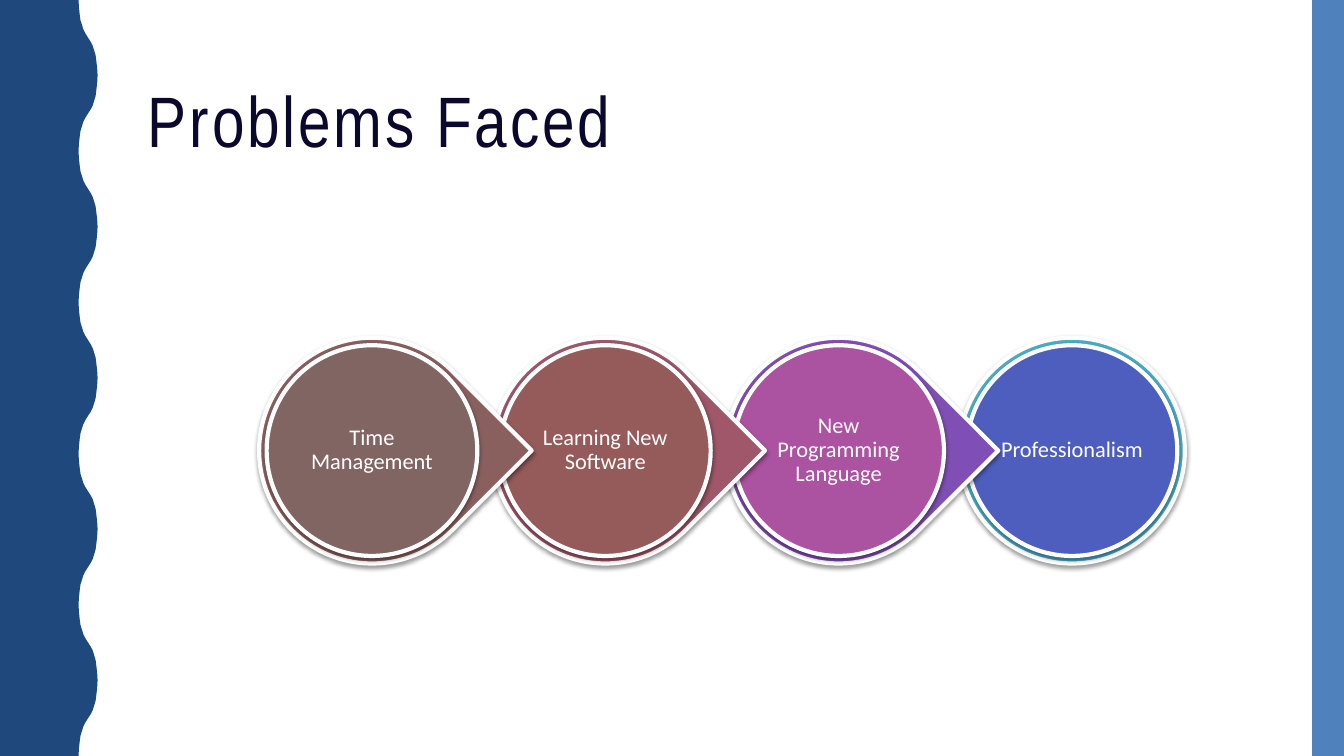
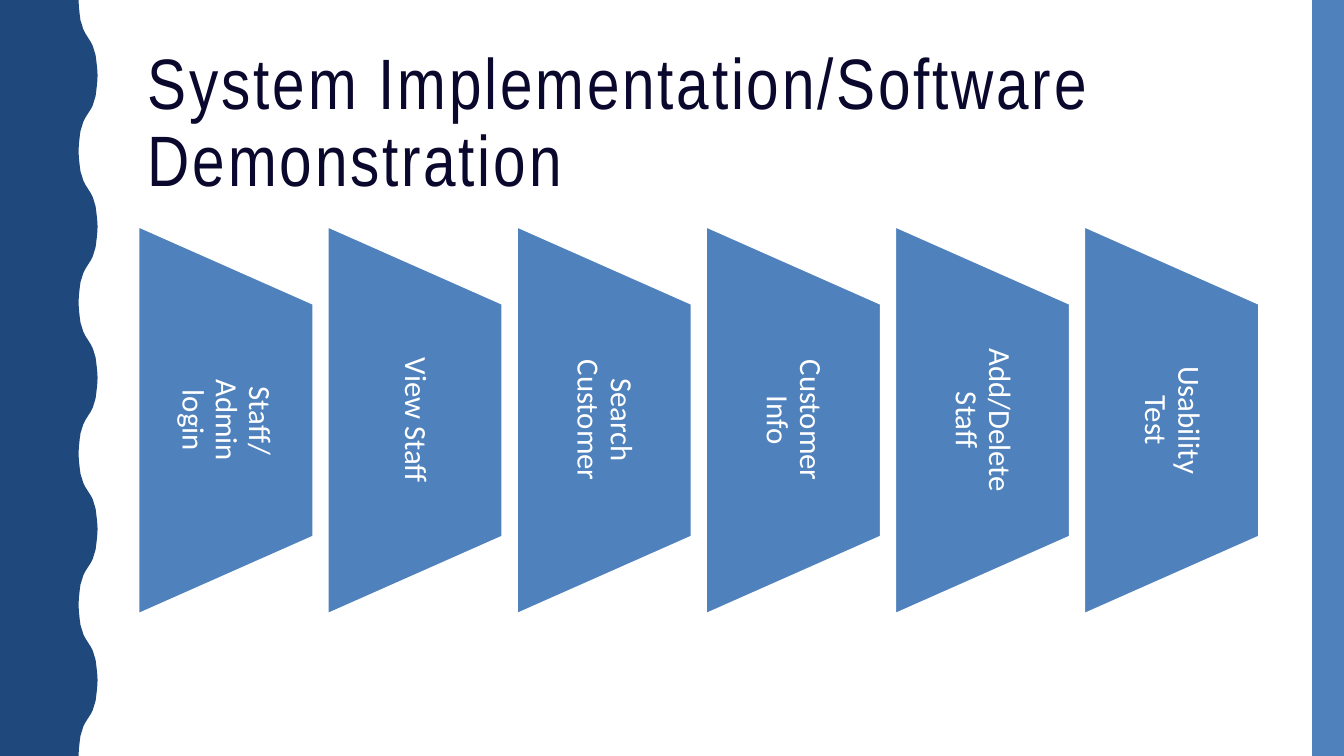
import pptx
import pptx.util
import pptx.dml.color
import pptx.enum.shapes
import pptx.enum.text
import pptx.oxml
import pptx.oxml.ns

Cm, Pt = pptx.util.Cm, pptx.util.Pt
RGBColor = pptx.dml.color.RGBColor
MSO_SHAPE = pptx.enum.shapes.MSO_SHAPE
PP_ALIGN = pptx.enum.text.PP_ALIGN
MSO_ANCHOR = pptx.enum.text.MSO_ANCHOR

WHITE = RGBColor(0xFF, 0xFF, 0xFF)
NAVY = RGBColor(0x1F, 0x49, 0x7D)
BLUE = RGBColor(0x4F, 0x81, 0xBD)
INK = RGBColor(0x0B, 0x08, 0x2E)
BROWN = RGBColor(0x80, 0x65, 0x63)
BROWN_RING = RGBColor(0x8A, 0x60, 0x5F)
BRICK = RGBColor(0x95, 0x5B, 0x5A)
ROSE_RING = RGBColor(0xA0, 0x57, 0x69)
MAGENTA = RGBColor(0xAB, 0x52, 0xA1)
PURPLE_RING = RGBColor(0x80, 0x4F, 0xB5)
INDIGO = RGBColor(0x4D, 0x5E, 0xBE)
TEAL_RING = RGBColor(0x4B, 0xAC, 0xC6)

TITLE_FONT, BODY_FONT = "Arial Narrow", "Calibri"
SLIDE_W, SLIDE_H = 33.87, 19.05
CONTENT_LEFT, CONTENT_W = 3.48, 28.26

# A quarter of one wave of the left band, in cm from its trough
WAVE_TROUGH, WAVE_DEPTH, WAVE_COUNT = 1.98, 0.48, 5
QUARTER_WAVE = [(0, 0), (0.01, 0.18), (0.03, 0.36), (0.05, 0.51),
                (0.09, 0.64), (0.12, 0.74), (0.17, 0.84), (0.24, 0.95)]

PROBLEMS = [
    ("Time Management", BROWN, BROWN_RING),
    ("Learning New Software", BRICK, ROSE_RING),
    ("New Programming Language", MAGENTA, PURPLE_RING),
    ("Professionalism", INDIGO, TEAL_RING),
]
FEATURES = ["Staff/Admin login", "View Staff", "Search Customer",
            "Customer Info", "Add/Delete Staff", "Usability Test"]

SHADOW_XML = (
    '<a:outerShdw %s blurRad="39370" dist="20320" dir="5400000" rotWithShape="0">'
    '<a:srgbClr val="000000"><a:alpha val="38000"/></a:srgbClr></a:outerShdw>'
    % pptx.oxml.ns.nsdecls("a"))


def paint(s, fill, line_width=0):
    """Give a shape a flat fill and a white outline, or none."""
    s.shadow.inherit = False
    s.fill.solid()
    s.fill.fore_color.rgb = fill
    if line_width:
        s.line.color.rgb = WHITE
        s.line.width = Pt(line_width)
    else:
        s.line.fill.background()


def add_shape(sl, kind, left, top, width, height, fill, line_width=0):
    s = sl.shapes.add_shape(kind, Cm(left), Cm(top), Cm(width), Cm(height))
    paint(s, fill, line_width)
    return s


def cast_shadow(s):
    effects = s._element.spPr.find(pptx.oxml.ns.qn("a:effectLst"))
    effects.append(pptx.oxml.parse_xml(SHADOW_XML))


def write(s, text, font, size, color, align, insets):
    """Fill a shape with one paragraph; insets are left, top, right, bottom in cm."""
    tf = s.text_frame
    tf.word_wrap = True
    tf.vertical_anchor = MSO_ANCHOR.MIDDLE
    (tf.margin_left, tf.margin_top,
     tf.margin_right, tf.margin_bottom) = [Cm(i) for i in insets]
    p = tf.paragraphs[0]
    r = p.add_run()
    r.text = text
    p.alignment = align
    p.line_spacing = 0.9
    p.font.name, p.font.size, p.font.color.rgb = font, Pt(size), color
    return r


def add_wave_band(sl):
    half = QUARTER_WAVE + [(WAVE_DEPTH - x, 1.9 - y)
                           for x, y in reversed(QUARTER_WAVE[:-1])]
    period = SLIDE_H / WAVE_COUNT
    wave = half + [(x, period - y) for x, y in reversed(half[:-1])]
    edge = [(Cm(WAVE_TROUGH + x), Cm(n * period + y))
            for n in range(WAVE_COUNT) for x, y in wave]
    fb = sl.shapes.build_freeform(0, 0)
    fb.add_line_segments(edge + [(0, Cm(SLIDE_H))], close=True)
    paint(fb.convert_to_shape(), NAVY)


def add_titled_slide(prs, title):
    sl = prs.slides.add_slide(prs.slide_layouts[6])
    add_wave_band(sl)
    add_shape(sl, MSO_SHAPE.RECTANGLE, 33.07, 0, 0.8, SLIDE_H, BLUE)
    s = sl.shapes.add_textbox(Cm(CONTENT_LEFT), Cm(1.07), Cm(CONTENT_W), Cm(4.14))
    r = write(s, title, TITLE_FONT, 51, INK, PP_ALIGN.LEFT,
              (0.25, 0.13, 0.25, 0.13))
    r._r.get_or_add_rPr().set("spc", "200")
    return sl


def add_drop_chain(sl, left, top, size, pitch, items):
    """Overlapping drops, each pointing at the next; the last is a plain ring."""
    inner = size - 0.38
    inset = (size - inner) / 2
    for i, (text, fill, ring) in reversed(list(enumerate(items))):
        x = left + i * pitch
        last = i == len(items) - 1
        kind = MSO_SHAPE.OVAL if last else MSO_SHAPE.TEAR
        drop = add_shape(sl, kind, x, top, size, size, ring, 3)
        drop.rotation = 0 if last else 45
        disc = add_shape(sl, MSO_SHAPE.OVAL, x + inset, top + inset,
                         inner, inner, fill, 3)
        for s in (drop, disc):
            cast_shadow(s)
        write(disc, text, BODY_FONT, 16, WHITE, PP_ALIGN.CENTER, (0.05,) * 4)


def add_trapezoid_row(sl, left, top, width, height, labels, gap=0.34):
    """Trapezoids turned a quarter so that the long side is on the left."""
    w = (width - gap * (len(labels) - 1)) / len(labels)
    for i, label in enumerate(labels):
        x = left + i * (w + gap)
        s = add_shape(sl, MSO_SHAPE.TRAPEZOID, x + (w - height) / 2,
                      top + (height - w) / 2, height, w, BLUE, 2)
        s.adjustments[0] = height / 5 / w
        s.rotation = 90
        write(s, label, BODY_FONT, 22, WHITE, PP_ALIGN.CENTER,
              (1.75, 0, 1.75, 0.59))


def main():
    prs = pptx.Presentation()
    prs.slide_width, prs.slide_height = Cm(SLIDE_W), Cm(SLIDE_H)
    sl = add_titled_slide(prs, "Problems Faced")
    add_drop_chain(sl, 6.53, 8.51, 5.69, 5.88, PROBLEMS)
    sl = add_titled_slide(prs, "System Implementation/Software Demonstration")
    add_trapezoid_row(sl, CONTENT_LEFT, 5.69, CONTENT_W, 9.8, FEATURES)
    prs.save("out.pptx")


if __name__ == "__main__":
    main()
